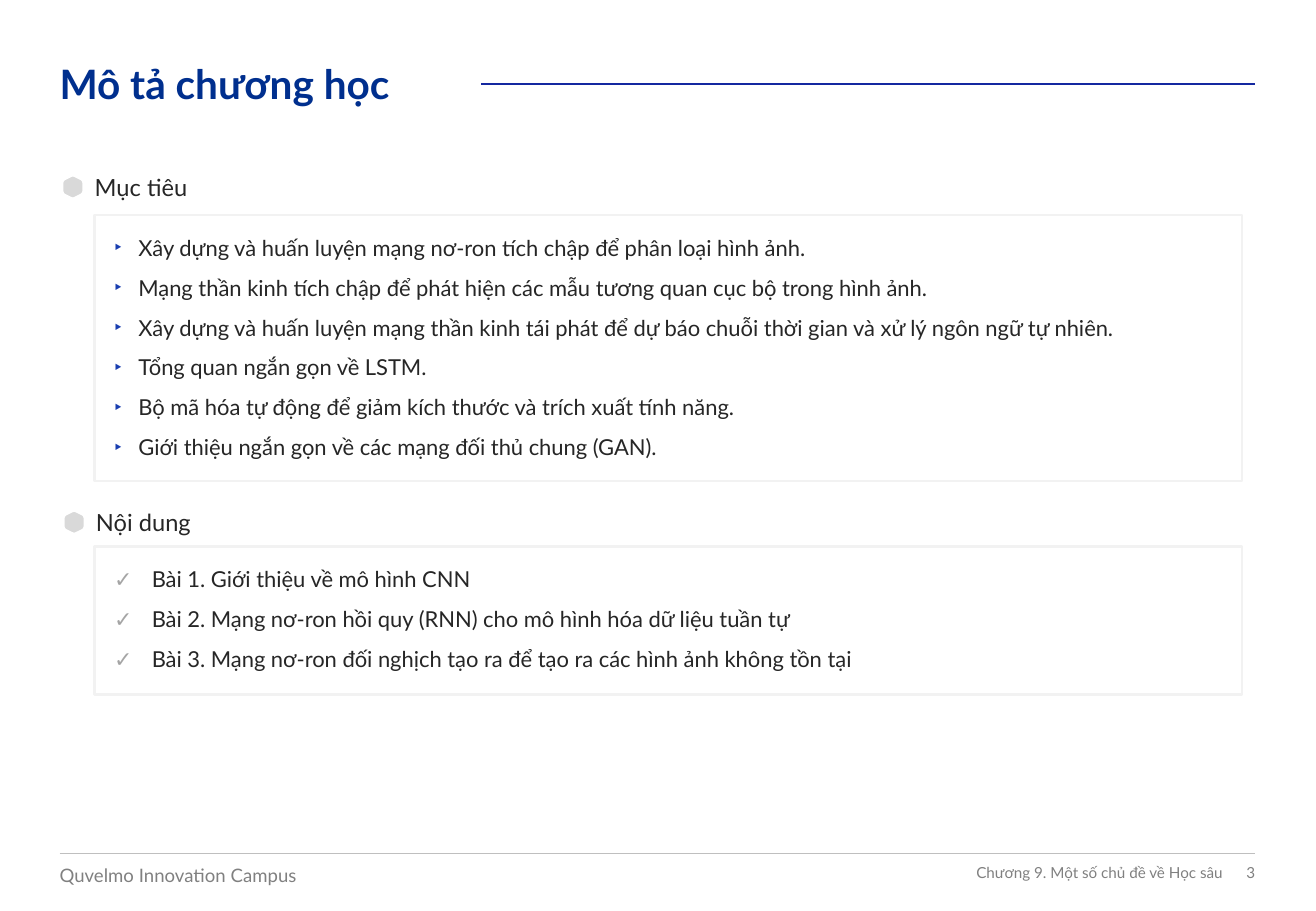
from dataclasses import dataclass

from lxml import etree
from pptx import Presentation
from pptx.dml.color import RGBColor
from pptx.enum.shapes import MSO_CONNECTOR, MSO_SHAPE
from pptx.enum.text import MSO_ANCHOR, PP_ALIGN
from pptx.oxml.ns import qn
from pptx.util import Pt

PX = 9144  # 100 px to the inch
LEFT, RIGHT = PP_ALIGN.LEFT, PP_ALIGN.RIGHT
TOP, MIDDLE = MSO_ANCHOR.TOP, MSO_ANCHOR.MIDDLE
RECTANGLE, STRAIGHT = MSO_SHAPE.RECTANGLE, MSO_CONNECTOR.STRAIGHT


@dataclass(frozen=True)
class Theme:
    font: str = "Lato"
    title: str = "002F8E"
    title_rule: str = "1428A0"
    ink: str = "262626"
    footer: str = "808080"
    footer_rule: str = "BFBFBF"
    frame: str = "F2F2F2"
    marker: str = "D9D9D9"
    paper: str = "FFFFFF"
    goal_bullet: str = "193EB0"
    lesson_bullet: str = "A5A5A5"
    title_size: int = 24
    heading_size: int = 14
    body_size: int = 13
    campus_size: int = 11
    chapter_size: int = 9


THEME = Theme()

GOALS = [
    "Xây dựng và huấn luyện mạng nơ-ron tích chập để phân loại hình ảnh.",
    "Mạng thần kinh tích chập để phát hiện các mẫu tương quan cục bộ trong hình ảnh.",
    "Xây dựng và huấn luyện mạng thần kinh tái phát để dự báo chuỗi thời gian và xử lý ngôn ngữ tự nhiên.",
    "Tổng quan ngắn gọn về LSTM.",
    "Bộ mã hóa tự động để giảm kích thước và trích xuất tính năng.",
    "Giới thiệu ngắn gọn về các mạng đối thủ chung (GAN).",
]
LESSONS = [
    "Bài 1. Giới thiệu về mô hình CNN",
    "Bài 2. Mạng nơ-ron hồi quy (RNN) cho mô hình hóa dữ liệu tuần tự",
    "Bài 3. Mạng nơ-ron đối nghịch tạo ra để tạo ra các hình ảnh không tồn tại",
]
# Soft-cornered hexagon, 24 by 26 px
HEXAGON = [(0, 9), (1, 6), (3, 4), (9, 1), (12, 0), (15, 1), (21, 4), (23, 6), (24, 9),
           (24, 17), (23, 20), (21, 22), (15, 25), (12, 26), (9, 25), (3, 22), (1, 20), (0, 17)]


def rgb(color):
    return RGBColor.from_string(color)


def emu(*lengths):
    return [length * PX for length in lengths]


def add_bullet(paragraph, char, color, indent):
    props = paragraph._p.get_or_add_pPr()
    props.set("marL", str(indent * PX))
    props.set("indent", str(-indent * PX))
    bullet_color = etree.SubElement(props, qn("a:buClr"))
    etree.SubElement(bullet_color, qn("a:srgbClr"), val=color)
    etree.SubElement(props, qn("a:buFont"), typeface=THEME.font)
    etree.SubElement(props, qn("a:buChar"), char=char)


def write(frame, lines, size, color, bold=False, align=LEFT, anchor=TOP,
          inset=0, after=0, bullet=None):
    frame.word_wrap = True
    frame.vertical_anchor = anchor
    frame.margin_left = frame.margin_right = inset * PX
    frame.margin_top = frame.margin_bottom = inset * PX
    for index, line in enumerate(lines):
        paragraph = frame.add_paragraph() if index else frame.paragraphs[0]
        if bullet:
            add_bullet(paragraph, *bullet)
        paragraph.alignment = align
        paragraph.space_after = Pt(after)
        run = paragraph.add_run()
        run.text = line
        run.font.name = THEME.font
        run.font.size = Pt(size)
        run.font.bold = bold
        run.font.color.rgb = rgb(color)


def add_label(slide, box, text, **text_format):
    label = slide.shapes.add_textbox(*emu(*box))
    write(label.text_frame, [text], **text_format)


def add_rule(slide, left, right, y, color, weight):
    rule = slide.shapes.add_connector(STRAIGHT, *emu(left, y, right, y))
    rule.line.color.rgb = rgb(color)
    rule.line.width = Pt(weight)
    etree.SubElement(rule._element.spPr, qn("a:effectLst"))


def add_marker(slide, left, top):
    points = [(left + x, top + y) for x, y in HEXAGON]
    builder = slide.shapes.build_freeform(*points[0], scale=PX)
    builder.add_line_segments(points[1:], close=True)
    marker = builder.convert_to_shape()
    marker.shadow.inherit = False
    marker.fill.solid()
    marker.fill.fore_color.rgb = rgb(THEME.marker)
    marker.line.color.rgb = rgb(THEME.paper)
    marker.line.width = Pt(6)


def add_title(slide, left, top, width, height):
    add_label(slide, (left, top, width, height), "Mô tả chương học",
              size=THEME.title_size, color=THEME.title, bold=True)
    add_rule(slide, left + 347, left + width, top + height // 2, THEME.title_rule, 1)


def add_heading(slide, left, top, width, height, text):
    add_marker(slide, left, top)
    add_label(slide, (left + 30, top + 1, width - 30, height), text,
              size=THEME.heading_size, color=THEME.ink, after=6)


def add_list(slide, box, lines, bullet):
    frame = slide.shapes.add_shape(RECTANGLE, *emu(*box))
    frame.shadow.inherit = False
    frame.fill.background()
    frame.line.color.rgb = rgb(THEME.frame)
    frame.line.width = Pt(1.5)
    write(frame.text_frame, lines, size=THEME.body_size, color=THEME.ink,
          inset=16, after=8, bullet=bullet)


def add_footer(slide, left, top, width):
    right = left + width
    add_rule(slide, left, right, top, THEME.footer_rule, 0.5)
    add_label(slide, (left, top + 8, 316, 19), "Quvelmo Innovation Campus",
              size=THEME.campus_size, color=THEME.footer)
    small = dict(size=THEME.chapter_size, color=THEME.footer, align=RIGHT, anchor=MIDDLE)
    add_label(slide, (right - 515, top + 8, 488, 15),
              "Chương 9. Một số chủ đề về Học sâu", **small)
    add_label(slide, (right - 67, top + 8, 67, 15), "3", **small)


def main():
    deck = Presentation()
    deck.slide_width, deck.slide_height = emu(1083, 750)
    slide = deck.slides.add_slide(deck.slide_layouts[6])

    # Title
    add_title(slide, 49, 49, 984, 40)
    # Goals
    add_heading(slide, 48, 141, 974, 24, "Mục tiêu")
    add_list(slide, (78, 177, 944, 219), GOALS, ("‣", THEME.goal_bullet, 20))
    # Contents
    add_heading(slide, 49, 417, 974, 24, "Nội dung")
    add_list(slide, (78, 450, 944, 122), LESSONS, ("✓", THEME.lesson_bullet, 31))
    # Footer
    add_footer(slide, 49, 703, 984)

    deck.save("out.pptx")


if __name__ == "__main__":
    main()
